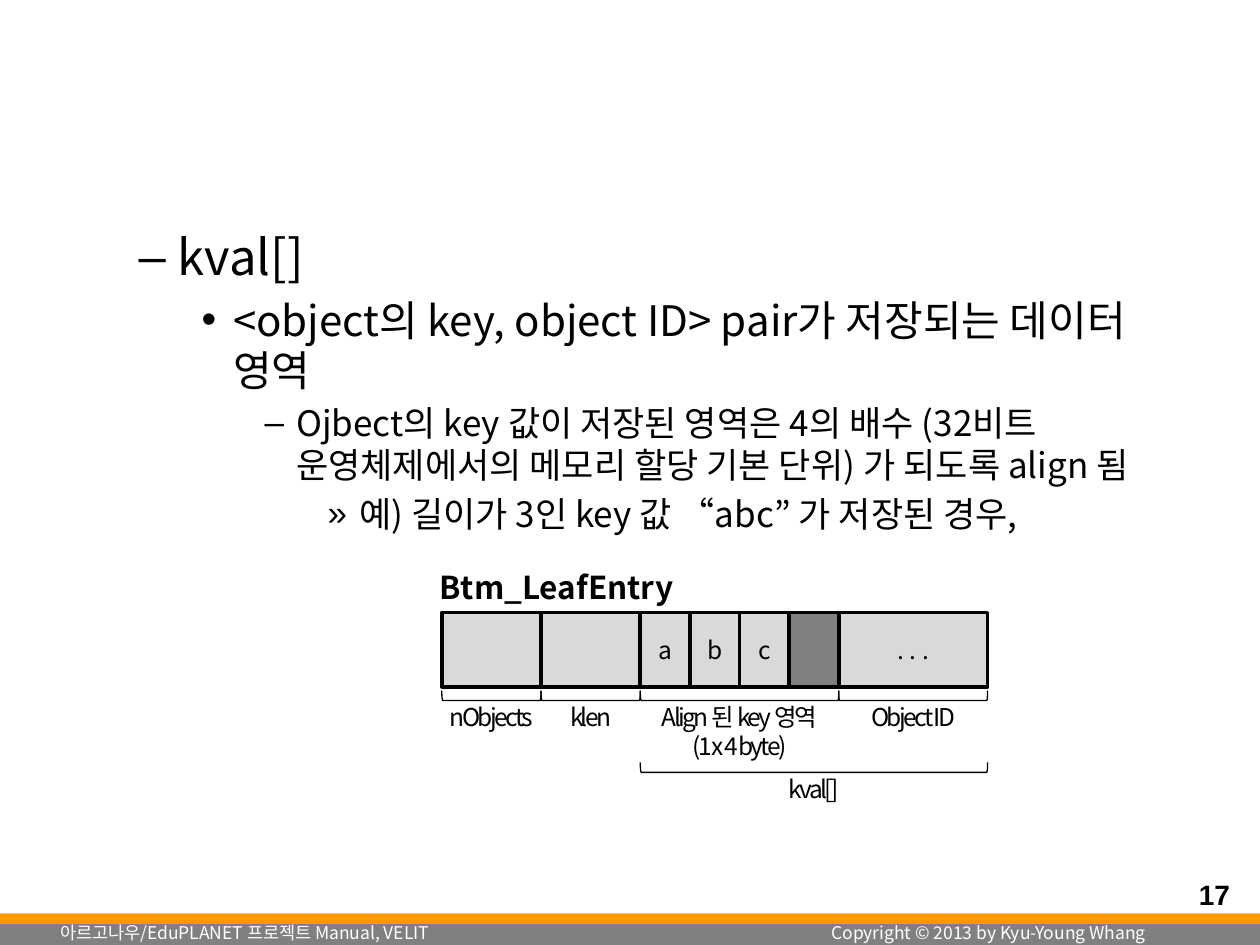
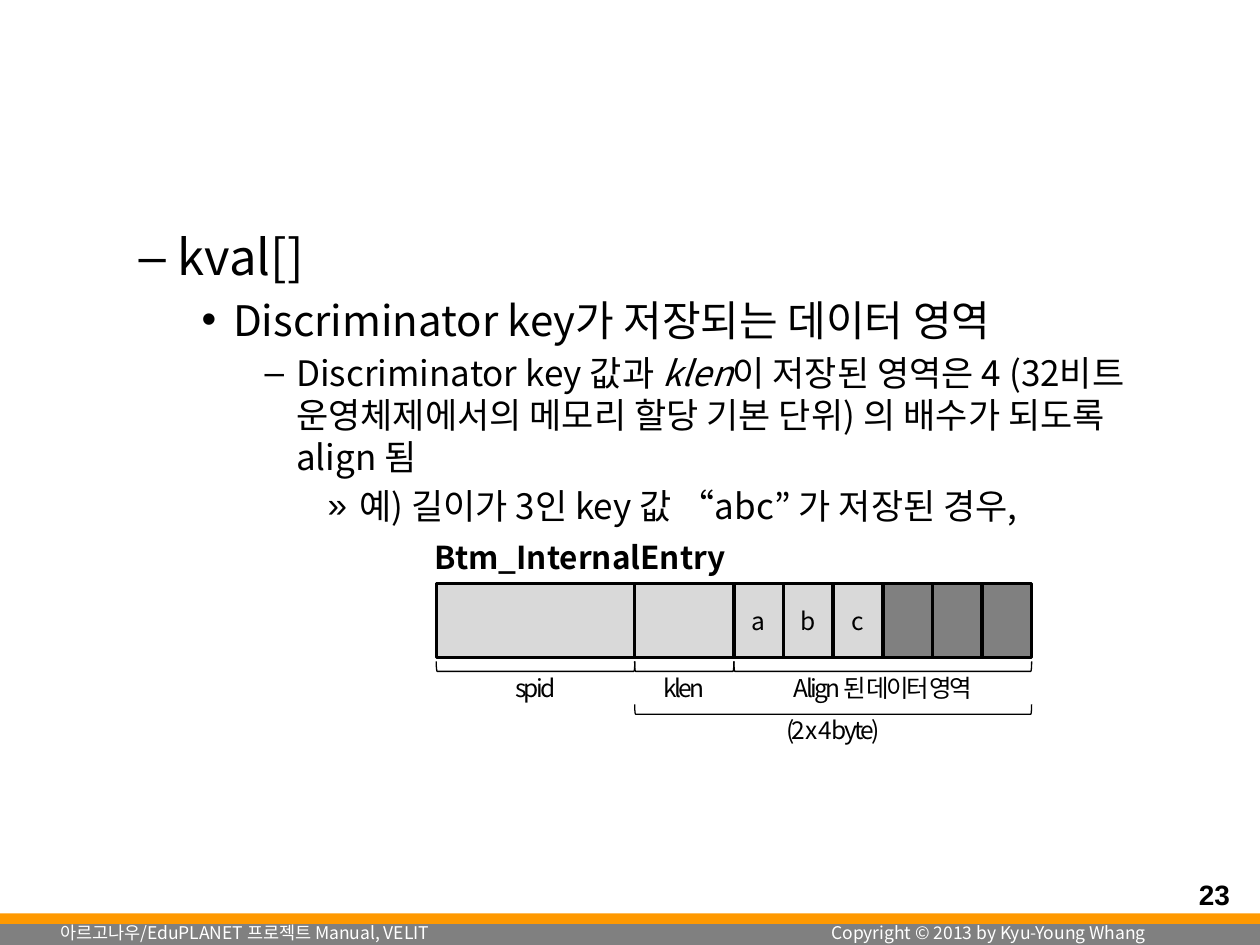
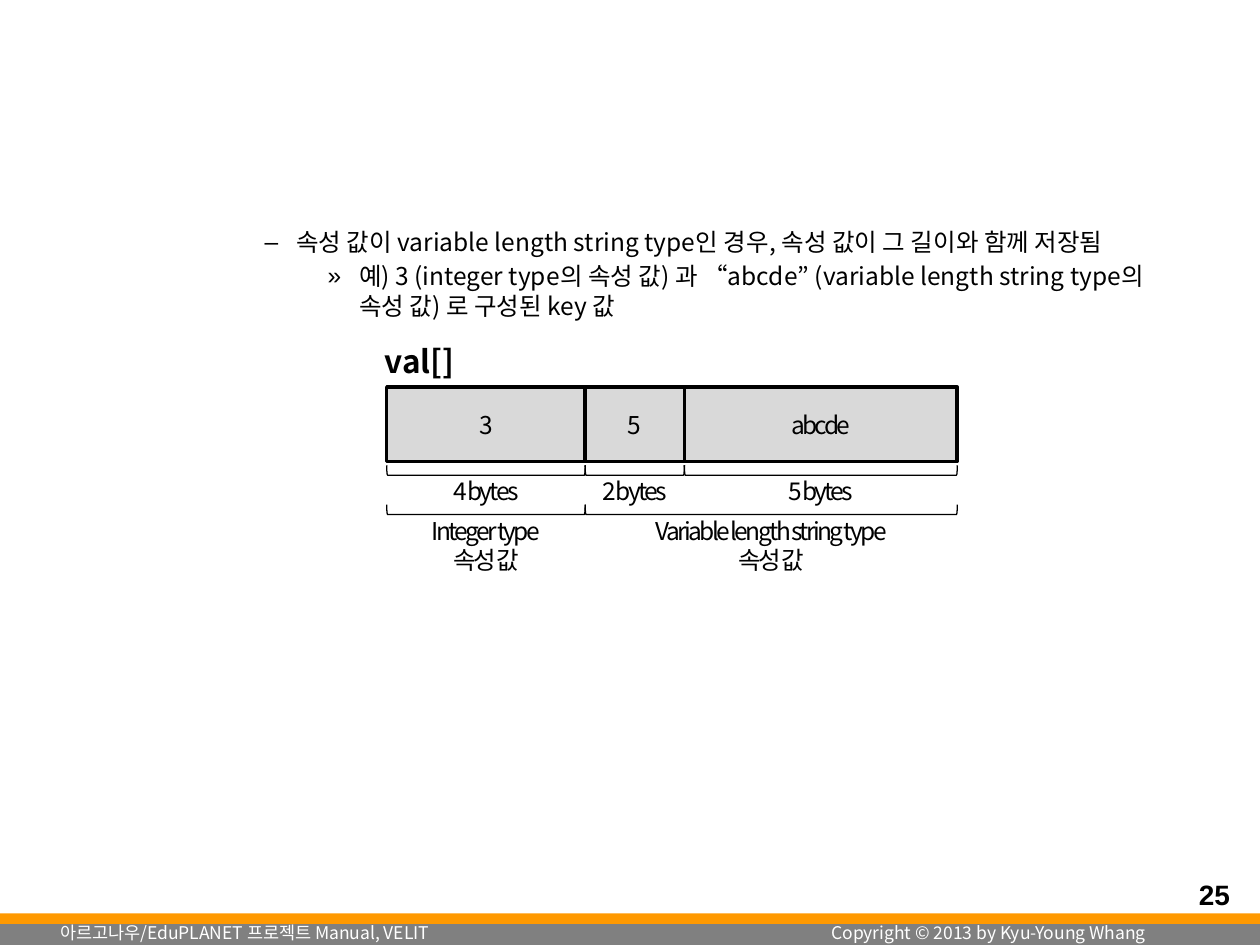
import pptx
import pptx.util
import pptx.dml.color
import pptx.enum.shapes
import pptx.enum.text
import pptx.oxml

Pt = pptx.util.Pt
SHAPE = pptx.enum.shapes.MSO_SHAPE
ALIGN = pptx.enum.text.PP_ALIGN
ANCHOR = pptx.enum.text.MSO_ANCHOR
FIT = pptx.enum.text.MSO_AUTO_SIZE

FONT = "Noto Sans CJK KR"
BLACK = "000000"
WHITE = "FFFFFF"
LIGHT = "D9D9D9"
GRAY = "808080"
ORANGE = "FF9900"
UNIT = 28.35
HIGH = 42.5
DROP = 47.5
TIGHT = -1.5


def color(code):
    return pptx.dml.color.RGBColor.from_string(code)


def style(frame, size, ink=BLACK, bold=False, face=FONT, gap=0, align=None):
    for para in frame.paragraphs:
        if align is not None:
            para.alignment = align
        for run in para.runs:
            font = run.font
            font.size = Pt(size)
            font.bold = bold
            font.color.rgb = color(ink)
            font.name = face
            props = run.font._element
            east = pptx.oxml.parse_xml(
                '<a:ea xmlns:a="http://schemas.openxmlformats.org/drawingml/2006/main"'
                f' typeface="{face}"/>')
            props.find(pptx.oxml.ns.qn("a:latin")).addnext(east)
            if gap:
                props.set("spc", str(round(gap * 100)))


def label(slide, text, left, top, width, height, size, wrap=True, **look):
    box = slide.shapes.add_textbox(Pt(left), Pt(top), Pt(width), Pt(height))
    frame = box.text_frame
    frame.word_wrap = wrap
    frame.text = text
    style(frame, size, **look)


def block(slide, left, top, width, height, fill, kind=SHAPE.RECTANGLE, line=0):
    shape = slide.shapes.add_shape(kind, Pt(left), Pt(top), Pt(width), Pt(height))
    shape.shadow.inherit = False
    if fill:
        shape.fill.solid()
        shape.fill.fore_color.rgb = color(fill)
    else:
        shape.fill.background()
    if line:
        shape.line.color.rgb = color(BLACK)
        shape.line.width = Pt(line)
    else:
        shape.line.fill.background()
    return shape


def footer(slide, number):
    block(slide, 0, 522, 720, 6, ORANGE)
    label(slide, number, 678, 498, 42, 26.6, 16, bold=True, face="Arial")
    block(slide, 0, 528, 720, 12, GRAY)
    label(slide, "아르고나우/EduPLANET 프로젝트 Manual, VELIT",
          27.4, 523.4, 247, 19.4, 10, wrap=False, ink=WHITE)
    label(slide, "Copyright © 2013 by Kyu-Young Whang",
          468, 523.4, 204.5, 19.4, 10, ink=WHITE)


def outline(slide, items):
    body = slide.placeholders[1]
    body.left, body.top, body.width, body.height = Pt(36), Pt(126), Pt(648), Pt(356.4)
    frame = body.text_frame
    frame.auto_size = FIT.NONE
    for index, (level, size, text) in enumerate(items):
        para = frame.add_paragraph() if index else frame.paragraphs[0]
        para.level = level
        for part, words in enumerate(text.split("*")):
            run = para.add_run()
            run.text = words
            run.font.size = Pt(size)
            run.font.italic = part % 2 == 1
    for para, (level, size, text) in zip(frame.paragraphs, items):
        style_para(para, size)


def style_para(para, size):
    class_view = type("View", (), {"paragraphs": [para]})
    style(class_view, size)


def bracket(slide, left, width, mid, text):
    center = left + width / 2
    shape = block(slide, center - 2.85, mid - width / 2, 5.7, width, None,
                  SHAPE.LEFT_BRACKET, 0.75)
    shape.rotation = 270
    wide = 80 if len(text) <= 9 else 199
    tall = 41 if "\n" in text else 24.2
    label(slide, text, center - wide / 2, mid, wide, tall, 14,
          gap=TIGHT, align=ALIGN.CENTER)


def entry(slide, name, left, top, cells, spans, gap=0):
    label(slide, name, left - 8.3, top - 29.2, 258, 29, 18, bold=True)
    place = left
    for text, units, fill in cells:
        cell = block(slide, place, top, units * UNIT, HIGH, fill, line=2)
        if text:
            frame = cell.text_frame
            frame.text = text
            frame.vertical_anchor = ANCHOR.MIDDLE
            style(frame, 14, gap=gap, align=ALIGN.CENTER)
        place += units * UNIT
    for start, units, drop, text in spans:
        bracket(slide, left + start * UNIT, units * UNIT, top + drop, text)


def page(deck, number, items):
    slide = deck.slides.add_slide(deck.slide_layouts[1])
    title = slide.shapes.title._element
    title.getparent().remove(title)
    footer(slide, number)
    outline(slide, items)
    return slide


def main():
    deck = pptx.Presentation()
    deck.slide_width, deck.slide_height = Pt(720), Pt(540)
    case = (4, 20, "예) 길이가 3인 key 값 “abc” 가 저장된 경우,")
    head = (1, 28, "kval[]")
    chars = [(char, 1, LIGHT) for char in "abc"]
    pad = ("", 1, GRAY)

    leaf = page(deck, "17", [
        head,
        (2, 24, "<object의 key, object ID> pair가 저장되는 데이터 영역"),
        (3, 20, "Ojbect의 key 값이 저장된 영역은 4의 배수 (32비트 운영체제에서의 "
                "메모리 할당 기본 단위) 가 되도록 align 됨"),
        case])
    entry(leaf, "Btm_LeafEntry", 252.5, 350,
          [("", 2, LIGHT), ("", 2, LIGHT), *chars, pad, (". . .", 3, LIGHT)],
          [(0, 2, DROP, "nObjects"), (2, 2, DROP, "klen"),
           (4, 4, DROP, "Align 된 key 영역\n(1 x 4 byte)"),
           (8, 3, DROP, "Object ID"), (4, 7, 88.5, "kval[]")])

    inner = page(deck, "23", [
        head,
        (2, 24, "Discriminator key가 저장되는 데이터 영역"),
        (3, 20, "Discriminator key 값과 *klen*이 저장된 영역은 4 (32비트 운영체제에서의 "
                "메모리 할당 기본 단위) 의 배수가 되도록 align 됨"),
        case])
    entry(inner, "Btm_InternalEntry", 249.3, 333.3,
          [("", 4, LIGHT), ("", 2, LIGHT), *chars, pad, pad, pad],
          [(0, 4, DROP, "spid"), (4, 2, DROP, "klen"),
           (6, 6, DROP, "Align 된 데이터 영역"), (4, 8, 72, "(2 x 4 byte)")])

    value = page(deck, "25", [
        (3, 14, "속성 값이 variable length string type인 경우, "
                "속성 값이 그 길이와 함께 저장됨"),
        (4, 14, "예) 3 (integer type의 속성 값) 과 “abcde” "
                "(variable length string type의 속성 값) 로 구성된 key 값")])
    entry(value, "val[]", 221, 221.2,
          [("3", 4, LIGHT), ("5", 2, LIGHT), ("abcde", 5.5, LIGHT)],
          [(0, 4, DROP, "4 bytes"), (4, 2, DROP, "2 bytes"),
           (6, 5.5, DROP, "5 bytes"), (0, 4, 70, "Integer type\n속성 값"),
           (4, 7.5, 70, "Variable length string type\n속성 값")], TIGHT)

    deck.save("out.pptx")


if __name__ == "__main__":
    main()
